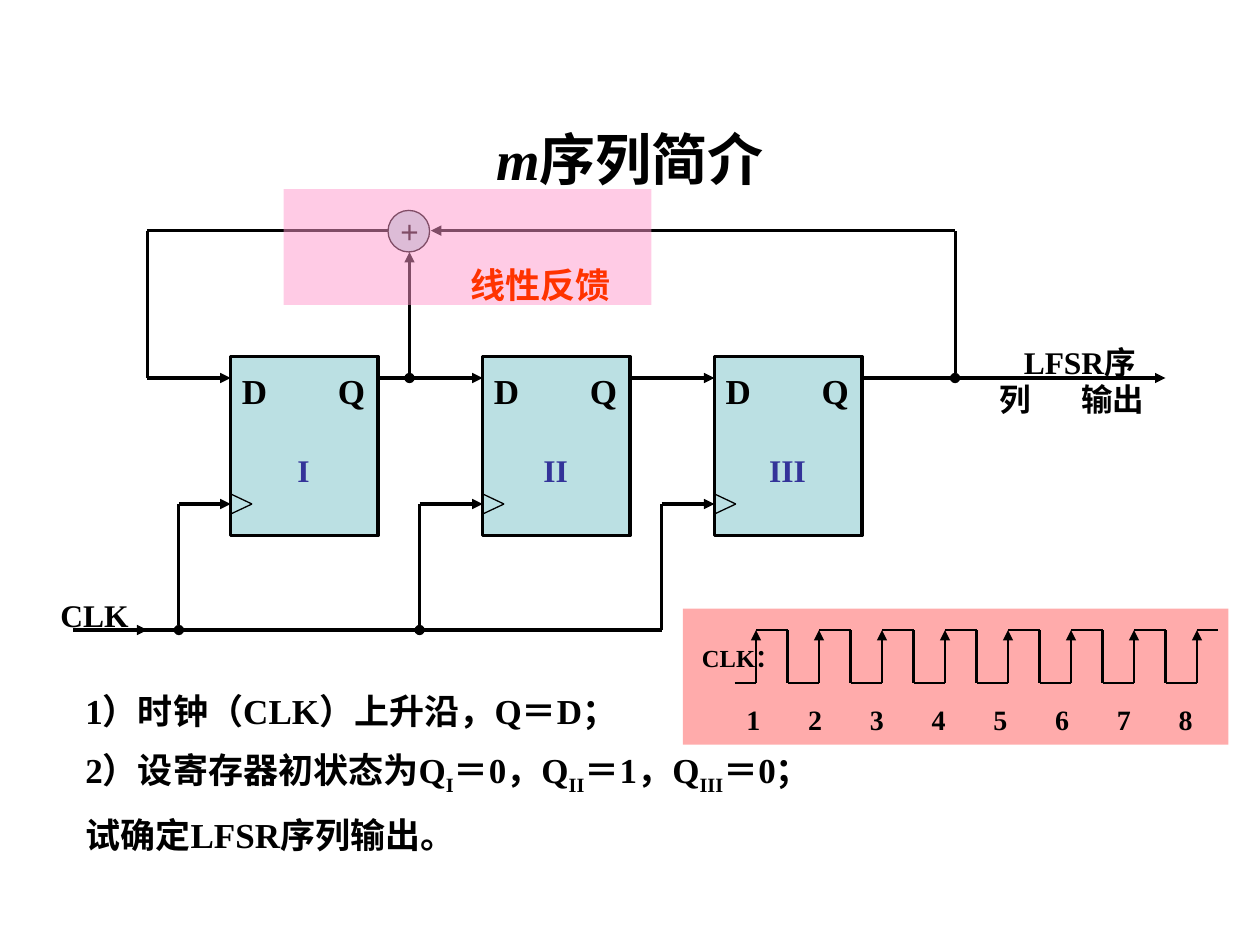
"""Build the slide that introduces the m-sequence with a three-stage LFSR circuit."""
from dataclasses import dataclass

from lxml.etree import SubElement
from pptx import Presentation
from pptx.dml.color import RGBColor
from pptx.enum.shapes import MSO_CONNECTOR as Connector, MSO_SHAPE as Preset
from pptx.enum.text import MSO_ANCHOR as Anchor, PP_ALIGN as Align
from pptx.oxml.ns import qn
from pptx.util import Inches, Pt

COLOURS = {
    "ink": "000000",
    "register": "BBE0E3",
    "numeral": "333399",
    "feedback": "FF99CC",
    "feedback_text": "FF3300",
    "clock": "FF0000",
}
SERIF = "Times New Roman"


@dataclass(frozen=True)
class Register:
    numeral: str
    left: float
    clock_x: float


@dataclass(frozen=True)
class Wire:
    x1: float
    y1: float
    x2: float
    y2: float
    head: str = ""
    tail: str = ""
    width: float = 1.75


@dataclass(frozen=True)
class Label:
    text: str
    x: float
    y: float
    size: float = 18
    colour: str = "ink"
    font: str = SERIF
    bold: bool = True


REGISTERS = [
    Register("I", 1.83, 1.42),
    Register("II", 3.83, 3.33),
    Register("III", 5.67, 5.25),
]
CIRCUIT = [
    Wire(1.17, 3, 1.83, 3, tail="triangle"),
    Wire(3, 3, 3.83, 3, tail="triangle"),
    Wire(5, 3, 5.67, 3, tail="triangle"),
    Wire(6.83, 3, 9.25, 3, tail="triangle"),
    Wire(7.58, 3, 7.58, 1.83, head="oval"),
    Wire(3.25, 3, 3.25, 2, head="oval", tail="triangle"),
    Wire(3.42, 1.83, 7.58, 1.83, head="triangle"),
    Wire(3.08, 1.83, 1.17, 1.83),
    Wire(1.17, 1.83, 1.17, 3),
    Wire(1.08, 5, 5.25, 5, width=2),
    Wire(1.17, 5, 0.58, 5, head="triangle"),
]
CIRCUIT_LABELS = [
    Label("CLK", 0.75, 4.88),
    Label("LFSR序", 8.57, 2.87),
    Label("列", 8.06, 3.17),
    Label("输出", 8.83, 3.17),
]
BODY = [
    [("1）时钟（CLK）上升沿，Q＝D；", False)],
    [
        ("2）设寄存器初状态为Q", False), ("I", True),
        ("＝0，Q", False), ("II", True),
        ("＝1，Q", False), ("III", True),
        ("＝0；", False),
    ],
    [("试确定LFSR序列输出。", False)],
]


def colour_of(name: str) -> RGBColor:
    """Return the named colour."""
    return RGBColor.from_string(COLOURS[name])


def add_run(paragraph, text: str, size: float, colour: str = "ink",
            font: str = SERIF, bold: bool = True):
    """Append a styled run to a paragraph."""
    run = paragraph.add_run()
    run.text = text
    run.font.size, run.font.name, run.font.bold = Pt(size), font, bold
    run.font.color.rgb = colour_of(colour)
    return run


def add_block(slide, preset, left: float, top: float, width: float, height: float,
              fill: str, line_width: float = 0, alpha: int = 100):
    """Draw a filled preset shape, outlined when a line width is given."""
    shape = slide.shapes.add_shape(preset, Inches(left), Inches(top), Inches(width), Inches(height))
    shape.shadow.inherit = False
    shape.fill.solid()
    shape.fill.fore_color.rgb = colour_of(fill)
    if alpha < 100:
        colour = shape._element.spPr.find(qn("a:solidFill"))[0]
        SubElement(colour, qn("a:alpha"), val=str(alpha * 1000))
    if line_width:
        shape.line.color.rgb = colour_of("ink")
        shape.line.width = Pt(line_width)
    else:
        shape.line.fill.background()


def add_wire(slide, wire: Wire) -> None:
    """Draw a straight line with its optional end marks."""
    ends = [Inches(value) for value in (wire.x1, wire.y1, wire.x2, wire.y2)]
    connector = slide.shapes.add_connector(Connector.STRAIGHT, *ends)
    connector.line.color.rgb = colour_of("ink")
    connector.line.width = Pt(wire.width)
    line = connector.line._get_or_add_ln()
    for tag, mark in (("a:headEnd", wire.head), ("a:tailEnd", wire.tail)):
        if mark:
            SubElement(line, qn(tag), type=mark)
    SubElement(connector._element.spPr, qn("a:effectLst"))


def add_label(slide, label: Label) -> None:
    """Write one line of text centred on a point."""
    width, height = 1.2, 0.4
    box = slide.shapes.add_textbox(Inches(label.x - width / 2), Inches(label.y - height / 2),
                                   Inches(width), Inches(height))
    frame = box.text_frame
    frame.margin_left = frame.margin_right = frame.margin_top = frame.margin_bottom = 0
    frame.word_wrap = True
    frame.vertical_anchor = Anchor.MIDDLE
    paragraph = frame.paragraphs[0]
    paragraph.alignment = Align.CENTER
    add_run(paragraph, label.text, label.size, label.colour, label.font, label.bold)


def add_register(slide, register: Register) -> None:
    """Draw a flip-flop with its pins, clock notch and clock feed."""
    left, clock_x = register.left, register.clock_x
    add_block(slide, Preset.RECTANGLE, left, 2.83, 1.17, 1.42, "register", 2)
    add_label(slide, Label("D", left + 0.19, 3.1, 20))
    add_label(slide, Label("Q", left + 0.96, 3.1, 20))
    add_label(slide, Label(register.numeral, left + 0.58, 3.73, colour="numeral"))
    add_wire(slide, Wire(clock_x, 4, left, 4, tail="triangle"))
    add_wire(slide, Wire(left, 3.92, left + 0.17, 4, width=0.75))
    add_wire(slide, Wire(left + 0.17, 4, left, 4.08, width=0.75))
    junction = "" if register is REGISTERS[-1] else "oval"
    add_wire(slide, Wire(clock_x, 4, clock_x, 5, tail=junction))


def add_clock_panel(slide, pulses: int = 8) -> None:
    """Draw the numbered clock waveform on its tinted panel."""
    high, low, half = 5, 5.42, 0.25
    add_block(slide, Preset.RECTANGLE, 5.42, 4.83, 4.33, 1.08, "clock", alpha=33)
    add_label(slide, Label("CLK：", 5.88, 5.22, 14))
    add_wire(slide, Wire(5.83, low, 6, low, width=1.5))
    for index in range(pulses):
        rise = 6 + 2 * half * index
        fall = rise + half
        last = index == pulses - 1
        add_label(slide, Label(str(index + 1), 5.98 + 0.49 * index, 5.71, 16))
        add_wire(slide, Wire(rise, low, rise, high, tail="triangle", width=1.5))
        add_wire(slide, Wire(rise, high, 9.67 if last else fall, high, width=1.5))
        if not last:
            add_wire(slide, Wire(fall, high, fall, low, width=1.5))
            add_wire(slide, Wire(fall, low, fall + half, low, width=1.5))


def add_body(slide) -> None:
    """Write the exercise with subscripted register names."""
    frame = slide.shapes.add_textbox(Inches(0.58), Inches(5.42), Inches(8.83), Inches(1.43)).text_frame
    frame.word_wrap = True
    for index, parts in enumerate(BODY):
        paragraph = frame.add_paragraph() if index else frame.paragraphs[0]
        spacing = SubElement(paragraph._p.get_or_add_pPr(), qn("a:spcBef"))
        SubElement(spacing, qn("a:spcPct"), val="50000")
        for text, subscript in parts:
            run = add_run(paragraph, text, 20)
            if subscript:
                run.font._element.set("baseline", "-25000")


def add_title(slide) -> None:
    """Write the slide title."""
    frame = slide.shapes.add_textbox(Inches(0.5), Inches(0.3), Inches(9), Inches(1.25)).text_frame
    frame.word_wrap = True
    frame.vertical_anchor = Anchor.BOTTOM
    frame.margin_bottom = Inches(0.03)
    paragraph = frame.paragraphs[0]
    paragraph.alignment = Align.CENTER
    add_run(paragraph, "m", 32).font.italic = True
    add_run(paragraph, "序列简介", 32)


def main() -> None:
    """Build and save the presentation."""
    presentation = Presentation()
    presentation.slide_width, presentation.slide_height = Inches(10), Inches(7.5)
    slide = presentation.slides.add_slide(presentation.slide_layouts[6])
    for register in REGISTERS:
        add_register(slide, register)
    for wire in CIRCUIT:
        add_wire(slide, wire)
    add_block(slide, Preset.OVAL, 3.08, 1.67, 0.33, 0.33, "register", 0.75)
    add_label(slide, Label("+", 3.25, 1.83, font="Arial", bold=False))
    for label in CIRCUIT_LABELS:
        add_label(slide, label)
    add_body(slide)
    add_clock_panel(slide)
    add_block(slide, Preset.RECTANGLE, 2.25, 1.5, 2.92, 0.92, "feedback", alpha=50)
    add_label(slide, Label("线性反馈", 4.29, 2.26, 20, "feedback_text", "Arial"))
    add_title(slide)
    presentation.save("out.pptx")


if __name__ == "__main__":
    main()
